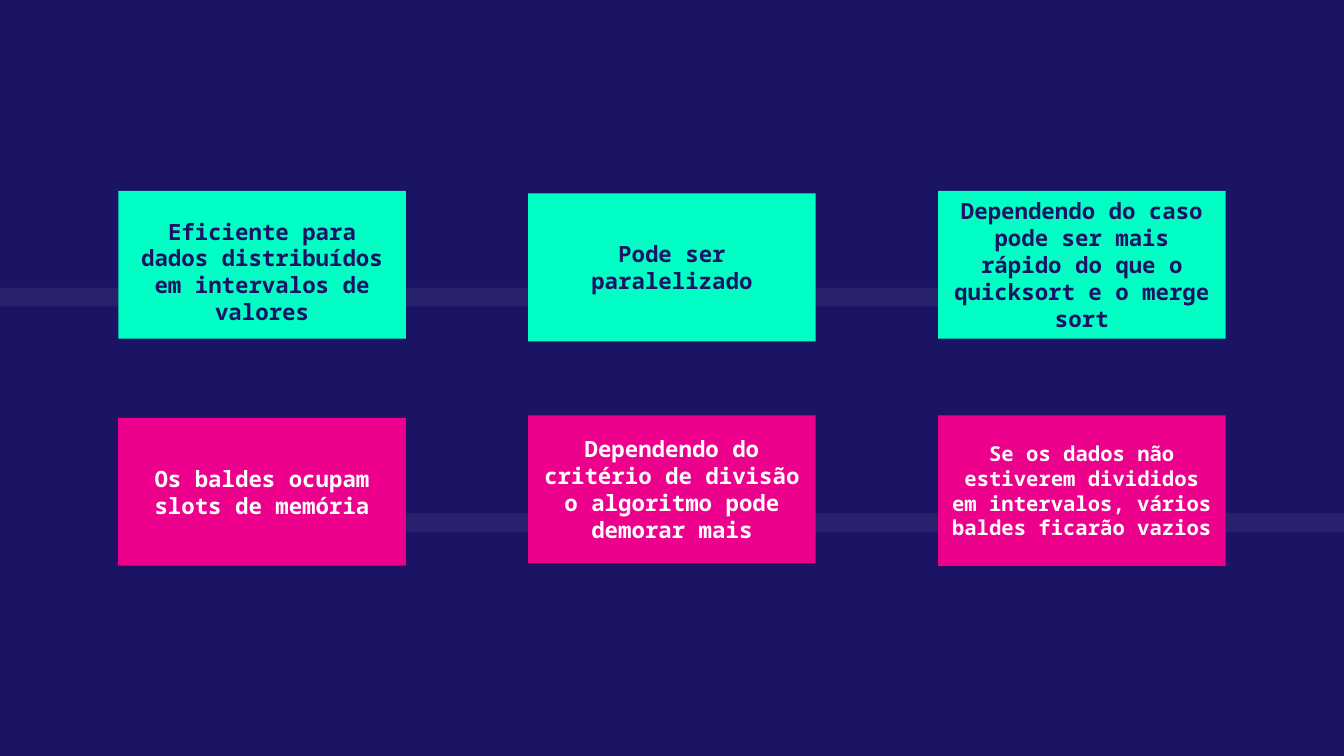
from dataclasses import dataclass

from lxml.etree import SubElement
from pptx import Presentation
from pptx.dml.color import RGBColor
from pptx.enum.shapes import MSO_SHAPE
from pptx.enum.text import MSO_ANCHOR, MSO_AUTO_SIZE, PP_ALIGN
from pptx.oxml.ns import qn
from pptx.shapes.autoshape import Shape
from pptx.slide import Slide
from pptx.util import Inches, Pt

COLORS = {"navy": "1B1464", "mint": "00FFC5", "pink": "EC008C", "white": "FFFFFF"}
FONT_NAME = "Noto Sans Mono"
SLIDE_WIDTH = Inches(10)
SLIDE_HEIGHT = SLIDE_WIDTH * 9 // 16
CARD_LEFT, CARD_WIDTH, COLUMN_STEP = 0.88, 2.14, 3.05
BAND_HEIGHT = 0.14
BAND_OPACITY = 6  # percent


@dataclass(frozen=True)
class Band:
    left: float
    top: float
    width: float


@dataclass(frozen=True)
class Card:
    text: str
    column: int
    top: float
    fill: str = "mint"
    ink: str = "navy"
    height: float = 1.1
    size: int = 12
    anchor: MSO_ANCHOR = MSO_ANCHOR.MIDDLE


BANDS = [Band(0, 2.14, 8.52), Band(1.02, 3.82, 8.98)]

ADVANTAGES = [
    Card("Eficiente para dados distribuídos em intervalos de valores", 0, 1.42,
         anchor=MSO_ANCHOR.BOTTOM),
    Card("Pode ser paralelizado", 1, 1.44),
    Card("Dependendo do caso pode ser mais rápido do que o quicksort e o merge sort",
         2, 1.42),
]
DRAWBACKS = [
    Card("Os baldes ocupam slots de memória", 0, 3.11, "pink", "white"),
    Card("Dependendo do critério de divisão o algoritmo pode demorar mais",
         1, 3.09, "pink", "white"),
    Card("Se os dados não estiverem divididos em intervalos, vários baldes ficarão vazios",
         2, 3.09, "pink", "white", height=1.12, size=11),
]


def color(name: str) -> RGBColor:
    return RGBColor.from_string(COLORS[name])


def apply_format(target: object, values: dict[str, object]) -> None:
    for name, value in values.items():
        setattr(target, name, value)


def fill_shape(shape: Shape, fill: str) -> None:
    """Give the shape a flat fill without line or shadow."""
    shape.shadow.inherit = False
    shape.fill.solid()
    shape.fill.fore_color.rgb = color(fill)
    shape.line.fill.background()


def add_rectangle(slide: Slide) -> Shape:
    return slide.shapes.add_shape(MSO_SHAPE.RECTANGLE, 0, 0, 0, 0)


def place(shape: Shape, left: float, top: float, width: float, height: float) -> None:
    apply_format(shape, {
        "left": Inches(left), "top": Inches(top),
        "width": Inches(width), "height": Inches(height),
    })


def draw_band(slide: Slide, band: Band) -> None:
    """Draw a translucent band behind every card."""
    shape = add_rectangle(slide)
    place(shape, band.left, band.top, band.width, BAND_HEIGHT)
    fill_shape(shape, "white")
    tint = shape.fill._xPr.find(f".//{qn('a:srgbClr')}")
    SubElement(tint, qn("a:alpha"), val=str(BAND_OPACITY * 1000))
    slide.shapes._spTree.insert(2, shape._element)


def draw_card(shape: Shape, card: Card) -> None:
    place(shape, CARD_LEFT + card.column * COLUMN_STEP, card.top, CARD_WIDTH, card.height)
    fill_shape(shape, card.fill)
    frame = shape.text_frame
    frame.text = card.text
    margins = dict.fromkeys(
        ("margin_left", "margin_right", "margin_top", "margin_bottom"), Inches(0.1))
    apply_format(frame, margins | {
        "word_wrap": True,
        "auto_size": MSO_AUTO_SIZE.NONE,
        "vertical_anchor": card.anchor,
    })
    paragraph = frame.paragraphs[0]
    paragraph.alignment = PP_ALIGN.CENTER
    font = paragraph.runs[0].font
    apply_format(font, {"name": FONT_NAME, "size": Pt(card.size), "bold": True})
    font.color.rgb = color(card.ink)


def main() -> None:
    presentation = Presentation()
    apply_format(presentation, {"slide_width": SLIDE_WIDTH, "slide_height": SLIDE_HEIGHT})
    title_only = presentation.slide_layouts[5]
    slide = presentation.slides.add_slide(title_only)
    slide.background.fill.solid()
    slide.background.fill.fore_color.rgb = color("navy")

    for band in BANDS:
        draw_band(slide, band)
    first_card, *other_cards = ADVANTAGES + DRAWBACKS
    draw_card(slide.shapes.title, first_card)
    for card in other_cards:
        draw_card(add_rectangle(slide), card)

    presentation.save("out.pptx")


if __name__ == "__main__":
    main()
